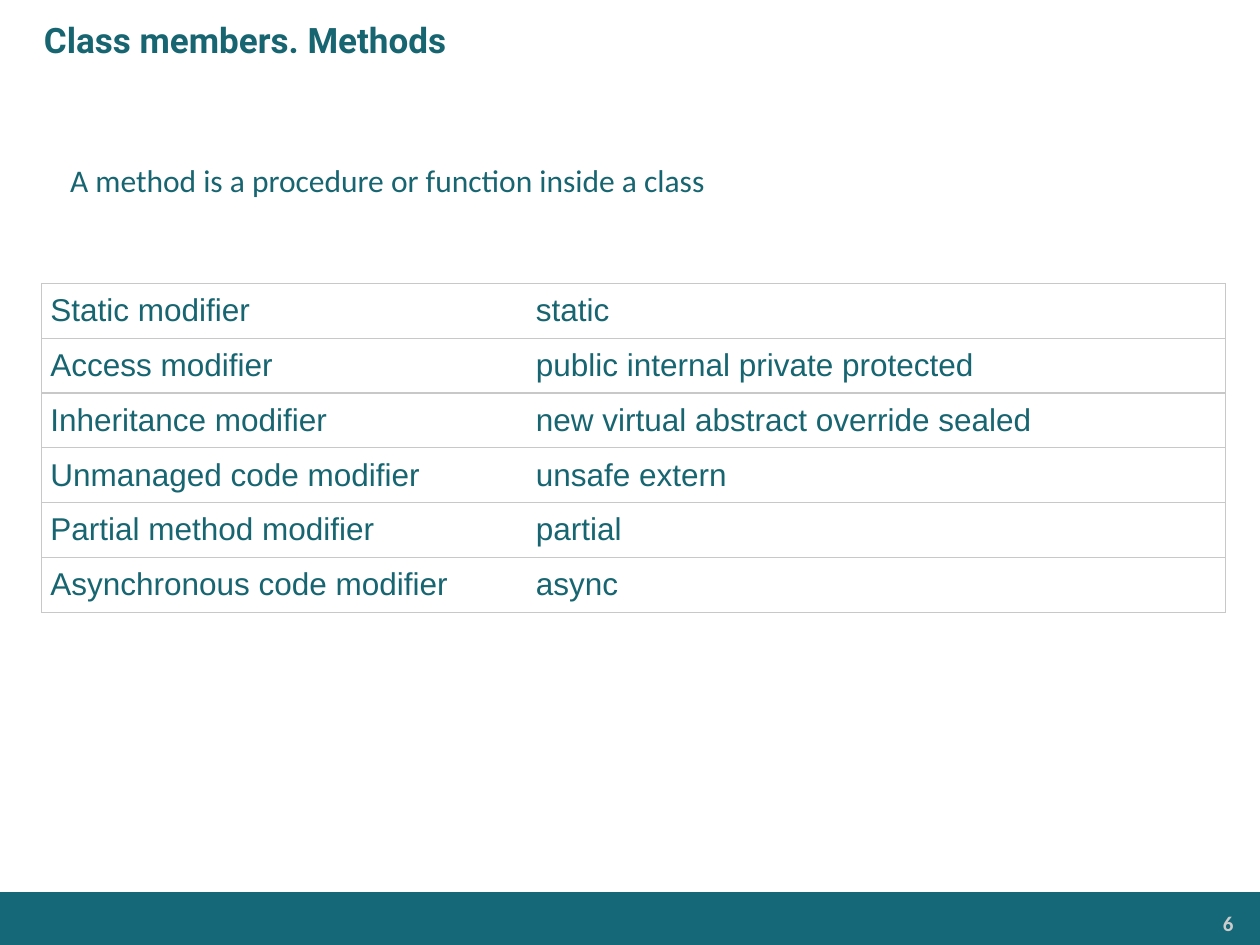
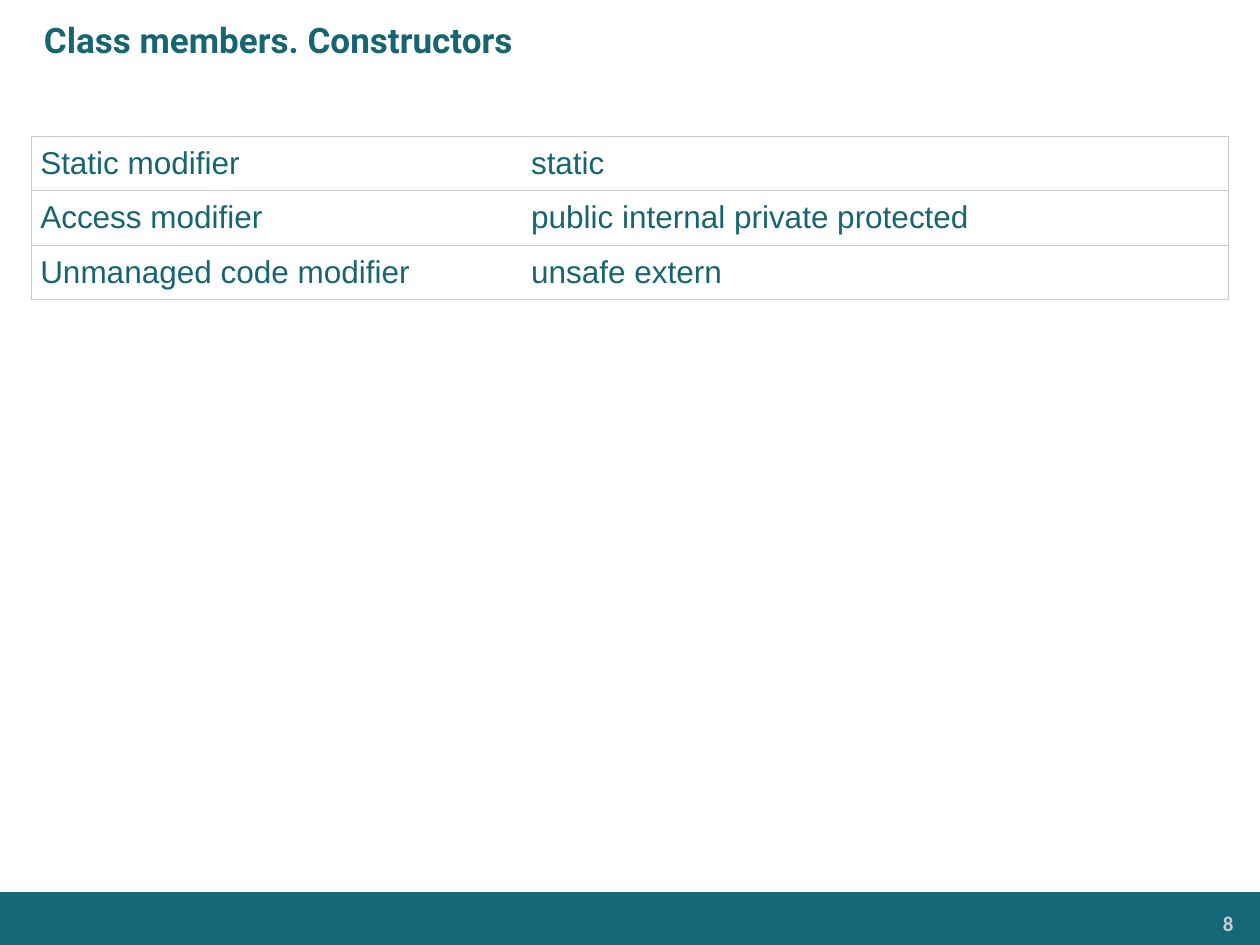
import dataclasses

import lxml.etree
import pptx
import pptx.dml.color
import pptx.enum.shapes
import pptx.enum.text
import pptx.oxml.ns
import pptx.util

Inches = pptx.util.Inches
Pt = pptx.util.Pt
ALIGN = pptx.enum.text.PP_ALIGN
ANCHOR = pptx.enum.text.MSO_ANCHOR
SHAPE = pptx.enum.shapes.MSO_SHAPE
qn = pptx.oxml.ns.qn


@dataclasses.dataclass(frozen=True)
class Style:
    font: str
    size: int
    color: str
    bold: bool = False


@dataclasses.dataclass(frozen=True)
class Theme:
    background: str = "FFFFFF"
    band: str = "146878"
    border: str = "C8C8C8"
    border_width: float = 0.75
    title: Style = Style("Roboto", 20, "176571", True)
    statement: Style = Style("Calibri", 18, "176571")
    cell: Style = Style("Arial", 18, "176571")
    number: Style = Style("Calibri", 12, "CCCCCC", True)


THEME = Theme()
NO_STYLE_TABLE = "{2D5ABB26-0587-4C30-8999-92F81FD0307C}"
LABEL_SHARE = 0.41  # part of the table width taken by the first column


def rgb(color):
    return pptx.dml.color.RGBColor.from_string(color)


def inches(box):
    return [Inches(v) for v in box]


def write(tf, text, style, align=ALIGN.LEFT, indent=0, margins=(0.1, 0.05)):
    """Fill a text frame with one styled paragraph."""
    tf.text = text
    tf.word_wrap = True
    tf.vertical_anchor = ANCHOR.MIDDLE
    tf.margin_left = tf.margin_right = Inches(margins[0])
    tf.margin_top = tf.margin_bottom = Inches(margins[1])
    p = tf.paragraphs[0]
    style_paragraph(p, style, align)
    if indent:
        pPr = p._p.get_or_add_pPr()
        pPr.set("marL", str(Inches(indent)))
        pPr.set("indent", "0")


def style_paragraph(p, style, align=ALIGN.LEFT):
    p.alignment = align
    for r in p.runs:
        r.font.name = style.font
        r.font.size = Pt(style.size)
        r.font.bold = style.bold
        r.font.color.rgb = rgb(style.color)


def add_plain_shape(slide, kind, box, fill=None):
    sp = slide.shapes.add_shape(kind, *inches(box))
    sp.shadow.inherit = False
    sp.line.fill.background()
    if fill:
        sp.fill.solid()
        sp.fill.fore_color.rgb = rgb(fill)
    else:
        sp.fill.background()
    return sp


def add_footer(slide, number, box):
    left, top, width, height = box
    add_plain_shape(slide, SHAPE.RECTANGLE, box, THEME.band)
    # Page number near the right end of the band
    number_box = (left + width - 1.78, top + 0.11, 1.63, 0.28)
    sp = slide.shapes.add_textbox(*inches(number_box))
    write(sp.text_frame, str(number), THEME.number, ALIGN.RIGHT, margins=(0.07, 0.04))
    sp.text_frame.vertical_anchor = ANCHOR.TOP


def add_title(slide, text, box):
    sp = slide.shapes.add_textbox(*inches(box))
    write(sp.text_frame, text, THEME.title, indent=0.25)


def add_statement(slide, text, box):
    sp = add_plain_shape(slide, SHAPE.ROUNDED_RECTANGLE, box)
    write(sp.text_frame, text, THEME.statement, ALIGN.JUSTIFY, 0.12, (0.13, 0.06))


def set_borders(cell, visible):
    """Draw the named sides (L, R, T, B) and hide the others."""
    tcPr = cell._tc.get_or_add_tcPr()
    for side in "LRTB":
        ln = lxml.etree.SubElement(tcPr, qn("a:ln" + side), w=str(Pt(THEME.border_width)))
        if side in visible:
            fill = lxml.etree.SubElement(ln, qn("a:solidFill"))
            lxml.etree.SubElement(fill, qn("a:srgbClr"), val=THEME.border)
        else:
            lxml.etree.SubElement(ln, qn("a:noFill"))


def add_modifier_table(slide, rows, box):
    left, top, width, height = box
    frame = slide.shapes.add_table(len(rows), 2, *inches(box))
    table = frame.table
    table.first_row = table.horz_banding = False
    table._tbl.tblPr.find(qn("a:tableStyleId")).text = NO_STYLE_TABLE
    for column, share in zip(table.columns, (LABEL_SHARE, 1 - LABEL_SHARE)):
        column.width = Inches(width * share)
    for row, texts in zip(table.rows, rows):
        row.height = Inches(height / len(rows))
        for cell, text, outer_side in zip(row.cells, texts, "LR"):
            cell.text = text
            cell.vertical_anchor = ANCHOR.MIDDLE
            cell.margin_left = cell.margin_right = Inches(0.07)
            cell.margin_top = cell.margin_bottom = Inches(0.05)
            style_paragraph(cell.text_frame.paragraphs[0], THEME.cell)
            set_borders(cell, outer_side + "TB")
            cell.fill.background()


def add_member_slide(prs, number, title, rows, table_box, statement=None):
    slide = prs.slides.add_slide(prs.slide_layouts[6])
    slide.background.fill.solid()
    slide.background.fill.fore_color.rgb = rgb(THEME.background)
    add_footer(slide, number, (0, 7.08, 10.01, 0.43))
    add_title(slide, title, (0, 0, 10, 0.63))
    if statement:
        add_statement(slide, statement, (0.27, 1.05, 9.52, 0.75))
    add_modifier_table(slide, rows, table_box)


# Modifiers and their keywords
STATIC = ("Static modifier", "static")
ACCESS = ("Access modifier", "public internal private protected")
INHERITANCE = ("Inheritance modifier", "new virtual abstract override sealed")
UNMANAGED = ("Unmanaged code modifier", "unsafe extern")
PARTIAL = ("Partial method modifier", "partial")
ASYNC = ("Asynchronous code modifier", "async")


def main():
    prs = pptx.Presentation()
    prs.slide_width = Inches(10)
    prs.slide_height = Inches(7.5)
    add_member_slide(
        prs, 6, "Class members. Methods",
        [STATIC, ACCESS, INHERITANCE, UNMANAGED, PARTIAL, ASYNC],
        (0.33, 2.25, 9.4, 2.61),
        "A method is a procedure or function inside a class",
    )
    add_member_slide(
        prs, 8, "Class members. Constructors",
        [STATIC, ACCESS, UNMANAGED],
        (0.25, 1.08, 9.5, 1.3),
    )
    prs.save("out.pptx")


if __name__ == "__main__":
    main()
